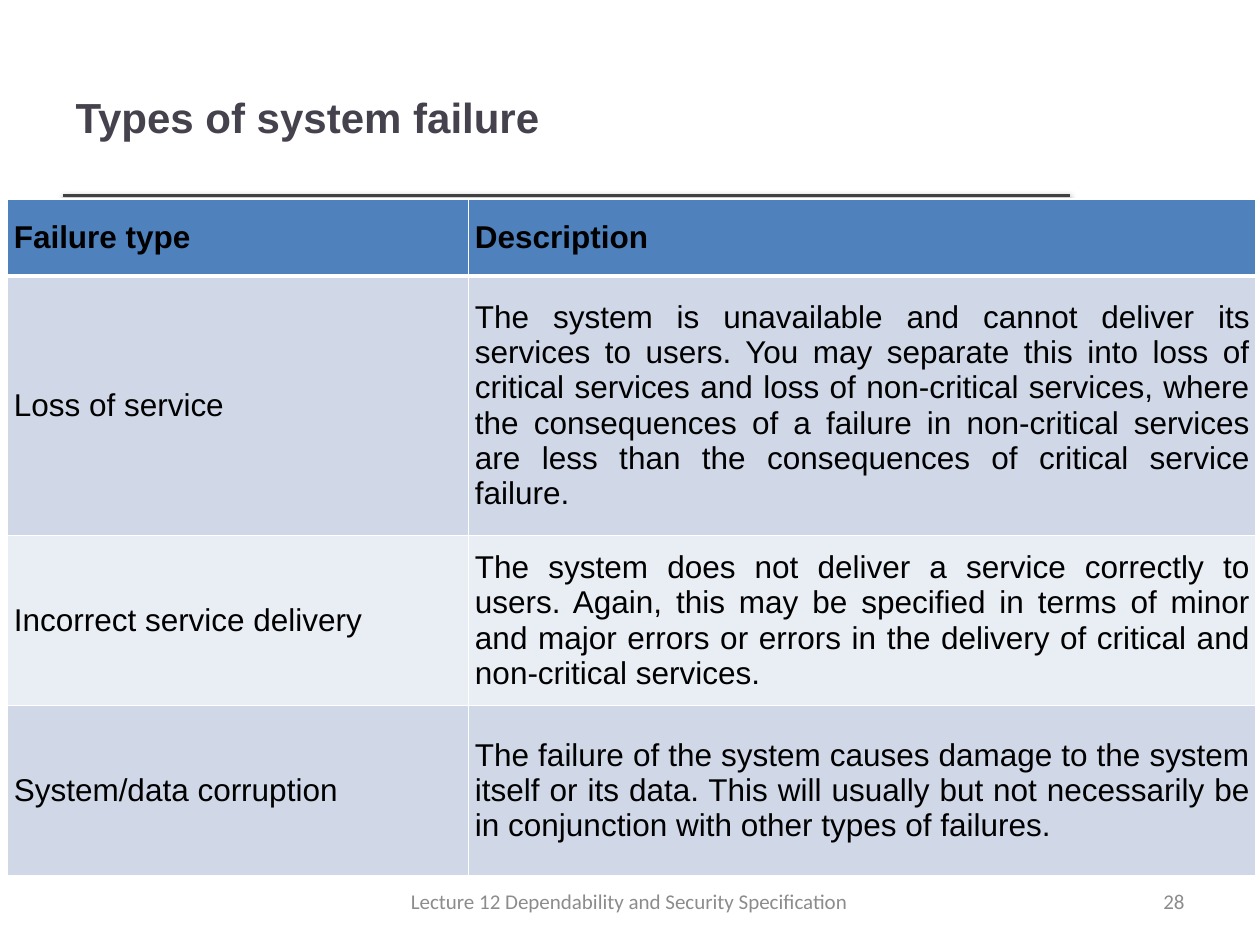
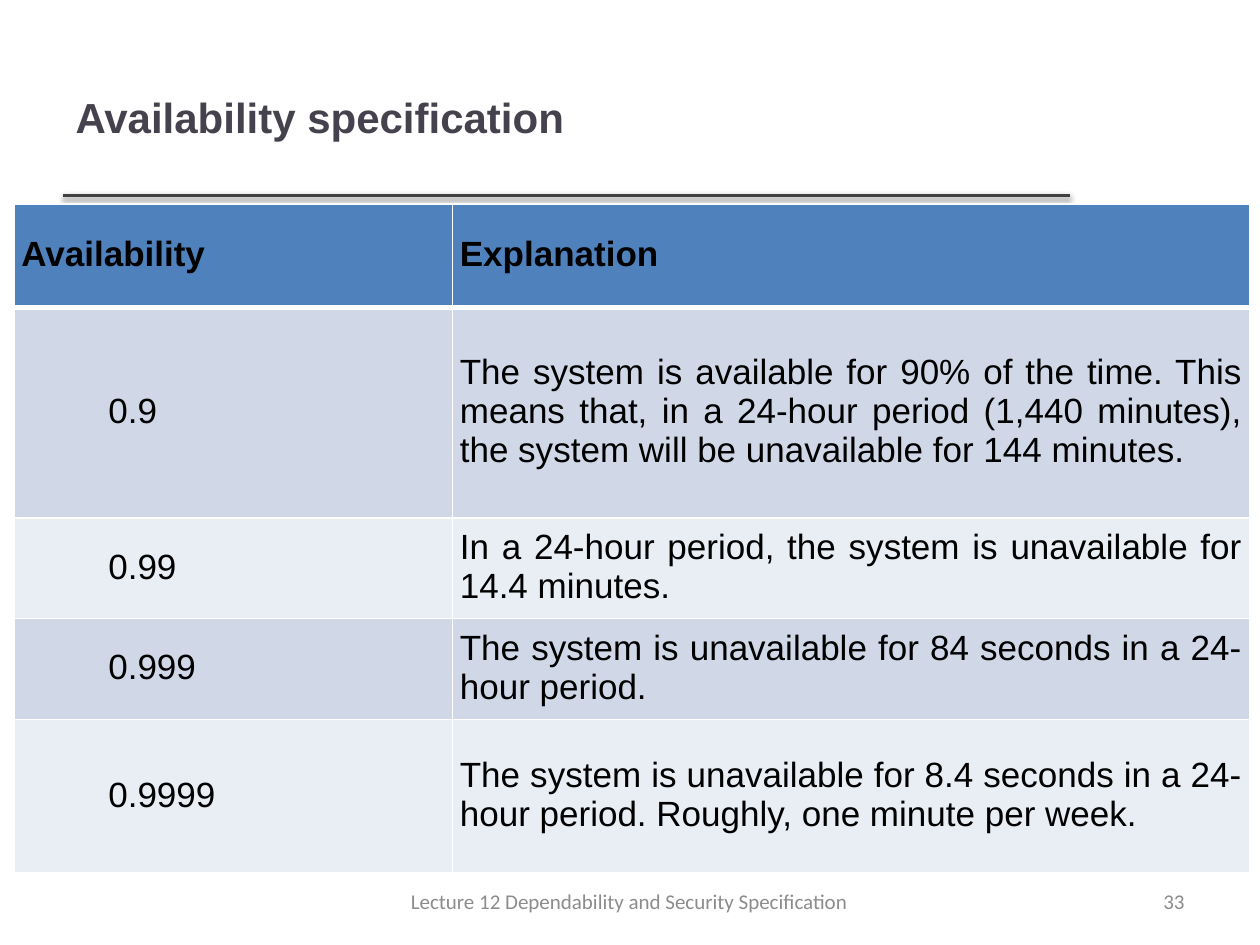
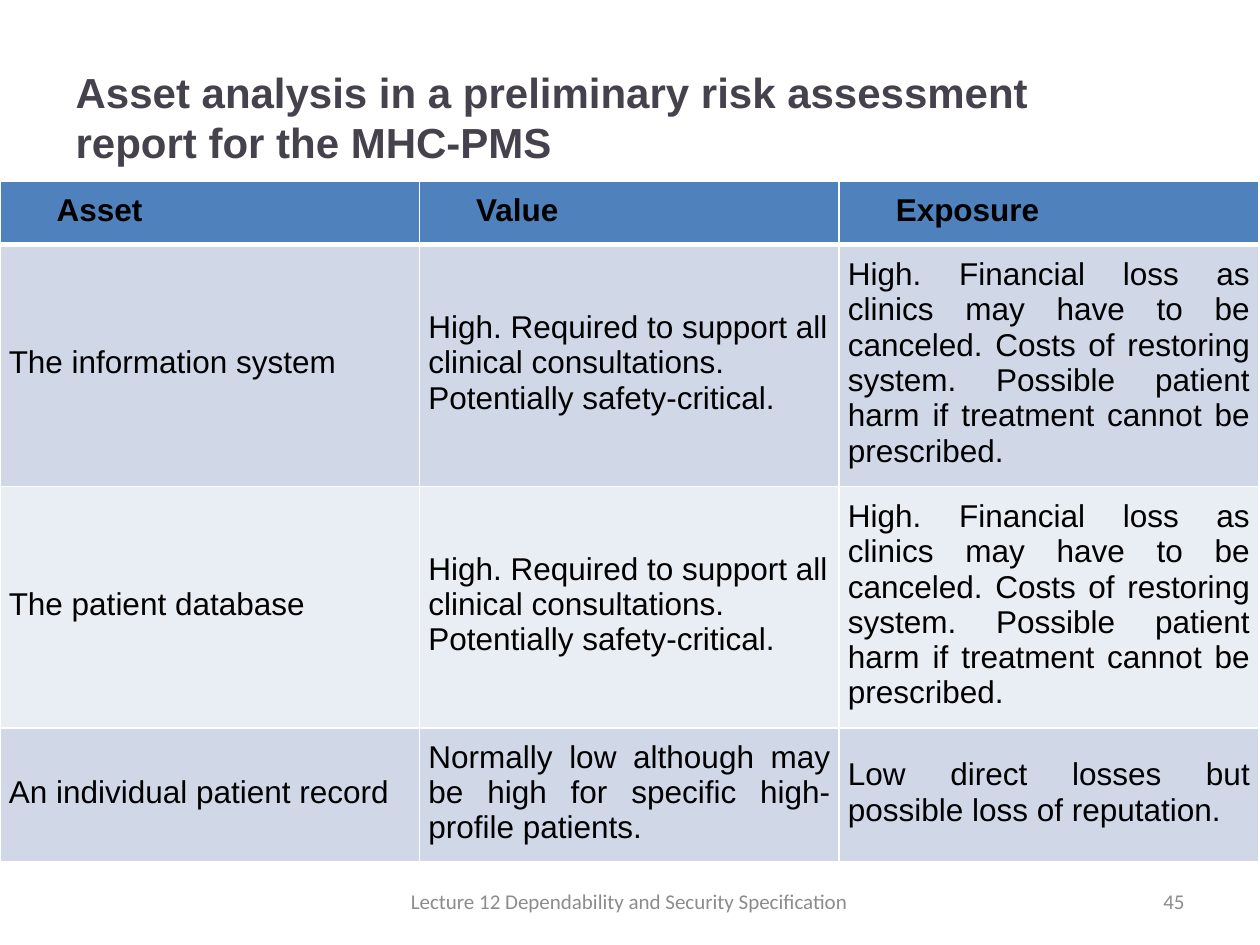
from dataclasses import dataclass, field

from lxml import etree
from pptx import Presentation
from pptx.dml.color import RGBColor
from pptx.enum.shapes import MSO_CONNECTOR
from pptx.enum.text import MSO_ANCHOR, MSO_AUTO_SIZE, PP_ALIGN
from pptx.oxml.ns import qn
from pptx.util import Inches, Pt

STRAIGHT = MSO_CONNECTOR.STRAIGHT
MIDDLE = MSO_ANCHOR.MIDDLE
NO_AUTOFIT = MSO_AUTO_SIZE.NONE
LEFT = PP_ALIGN.LEFT
CENTER = PP_ALIGN.CENTER
RIGHT = PP_ALIGN.RIGHT
JUSTIFY = PP_ALIGN.JUSTIFY

WHITE = RGBColor(0xFF, 0xFF, 0xFF)
BLACK = RGBColor(0x00, 0x00, 0x00)
TITLE_GRAY = RGBColor(0x46, 0x42, 0x4D)
RULE_GRAY = RGBColor(0x40, 0x40, 0x40)
FOOTER_GRAY = RGBColor(0x8C, 0x8C, 0x8C)
HEADER_BLUE = RGBColor(0x4F, 0x81, 0xBD)
BANDS = (RGBColor(0xD0, 0xD8, 0xE8), RGBColor(0xE9, 0xED, 0xF4))

HEADING_FONT = "Arial"
FOOTER_FONT = "Calibri"
FOOTER_TEXT = "Lecture 12 Dependability and Security Specification"
TITLE_ONLY_LAYOUT = 5


@dataclass
class TableDesign:
    left: float
    top: float
    columns: tuple
    rows: tuple
    size: int
    margins: tuple
    left_aligned: set = field(default_factory=set)
    indents: dict = field(default_factory=dict)


FAILURES = [
    ("Failure type", "Description"),
    ("Loss of service",
     "The system is unavailable and cannot deliver its services to users. You may separate "
     "this into loss of critical services and loss of non-critical services, where the "
     "consequences of a failure in non-critical services are less than the consequences of "
     "critical service failure."),
    ("Incorrect service delivery",
     "The system does not deliver a service correctly to users. Again, this may be specified "
     "in terms of minor and major errors or errors in the delivery of critical and "
     "non-critical services."),
    ("System/data corruption",
     "The failure of the system causes damage to the system itself or its data. This will "
     "usually but not necessarily be in conjunction with other types of failures."),
]
FAILURE_DESIGN = TableDesign(
    0.06, 1.58, (3.66, 6.25), (0.61, 2.06, 1.35, 1.35), 18, (0.05, 0.05, 0.05))

AVAILABILITIES = [
    ("Availability", "Explanation"),
    ("0.9",
     "The system is available for 90% of the time. This means that, in a 24-hour period "
     "(1,440 minutes), the system will be unavailable for 144 minutes."),
    ("0.99", "In a 24-hour period, the system is unavailable for 14.4 minutes."),
    ("0.999", "The system is unavailable for 84 seconds in a 24-hour period."),
    ("0.9999",
     "The system is unavailable for 8.4 seconds in a 24-hour period. Roughly, one minute "
     "per week."),
]
AVAILABILITY_DESIGN = TableDesign(
    0.11, 1.62, (3.48, 6.33), (0.82, 1.67, 0.8, 0.8, 1.22), 20, (0.06, 0.08, 0.1),
    left_aligned={(row, 0) for row in range(5)},
    indents={(row, 0): 0.69 for row in range(1, 5)})

SUPPORT_VALUE = ("High. Required to support all clinical consultations. "
                 "Potentially safety-critical.")
CLINIC_EXPOSURE = ("High. Financial loss as clinics may have to be canceled. Costs of restoring "
                   "system. Possible patient harm if treatment cannot be prescribed.")
ASSETS = [
    ("Asset", "Value", "Exposure"),
    ("The information system", SUPPORT_VALUE, CLINIC_EXPOSURE),
    ("The patient database", SUPPORT_VALUE, CLINIC_EXPOSURE),
    ("An individual patient record",
     "Normally low although may be high for specific high-profile patients.",
     "Low direct losses but possible loss of reputation."),
]
ASSET_DESIGN = TableDesign(
    0, 1.44, (3.33, 3.33, 3.33), (0.5, 1.92, 1.92, 1.06), 18, (0.07, 0.08, 0.12),
    left_aligned={(1, 1), (2, 1)},
    indents={(0, column): 0.38 for column in range(3)})

PAGES = [
    ("Types of system failure", 28, FAILURES, FAILURE_DESIGN),
    ("Availability specification", 33, AVAILABILITIES, AVAILABILITY_DESIGN),
    ("Asset analysis in a preliminary risk assessment report for the MHC-PMS", 45,
     ASSETS, ASSET_DESIGN),
]


def style_paragraph(para, font, size, color, bold, align):
    para.alignment = align
    para.font.name = font
    para.font.size = Pt(size)
    para.font.color.rgb = color
    para.font.bold = bold


def add_title(page, text):
    title = page.shapes.title
    title.left, title.top = Inches(0.5), Inches(0.3)
    title.width, title.height = Inches(7.98), Inches(1.25)
    frame = title.text_frame
    frame.text = text
    frame.auto_size = NO_AUTOFIT
    frame.vertical_anchor = MIDDLE
    style_paragraph(frame.paragraphs[0], HEADING_FONT, 24, TITLE_GRAY, True, LEFT)


def add_rule(page):
    rule = page.shapes.add_connector(
        STRAIGHT, Inches(0.5), Inches(1.55), Inches(8.49), Inches(1.55))
    rule.line.color.rgb = RULE_GRAY
    rule.line.width = Pt(2)
    effects = etree.SubElement(rule._element.spPr, qn("a:effectLst"))
    shadow = etree.SubElement(effects, qn("a:outerShdw"), blurRad=str(Pt(3.1)),
                              dist=str(Pt(1.6)), dir="5400000", rotWithShape="0")
    color = etree.SubElement(shadow, qn("a:srgbClr"), val=str(BLACK))
    etree.SubElement(color, qn("a:alpha"), val="38000")


def add_footer_text(page, left, width, text, align):
    box = page.shapes.add_textbox(Inches(left), Inches(6.95), Inches(width), Inches(0.4))
    frame = box.text_frame
    frame.word_wrap = True
    frame.vertical_anchor = MIDDLE
    frame.text = text
    style_paragraph(frame.paragraphs[0], FOOTER_FONT, 12, FOOTER_GRAY, False, align)


def set_borders(cell, top, bottom):
    properties = cell._tc.get_or_add_tcPr()
    for side, width in (("L", 1), ("R", 1), ("T", top), ("B", bottom)):
        line = etree.SubElement(properties, qn(f"a:ln{side}"), w=str(Pt(width)))
        fill = etree.SubElement(line, qn("a:solidFill"))
        etree.SubElement(fill, qn("a:srgbClr"), val=str(WHITE))


def format_cell(cell, row, column, design):
    set_borders(cell, 3 if row == 1 else 1, 3 if row == 0 else 1)
    cell.fill.solid()
    cell.fill.fore_color.rgb = HEADER_BLUE if row == 0 else BANDS[(row - 1) % 2]
    side, top, bottom = (Inches(margin) for margin in design.margins)
    cell.margin_left = cell.margin_right = side
    cell.margin_top, cell.margin_bottom = top, bottom
    cell.vertical_anchor = MIDDLE
    para = cell.text_frame.paragraphs[0]
    align = LEFT if (row, column) in design.left_aligned else JUSTIFY
    style_paragraph(para, HEADING_FONT, design.size, BLACK, row == 0, align)
    if (row, column) in design.indents:
        indent = Inches(design.indents[row, column])
        para._p.get_or_add_pPr().set("indent", str(indent))


def add_grid(page, records, design):
    table = page.shapes.add_table(
        len(design.rows), len(design.columns), Inches(design.left), Inches(design.top),
        Inches(sum(design.columns)), Inches(sum(design.rows))).table
    for column, width in zip(table.columns, design.columns):
        column.width = Inches(width)
    for row, height in zip(table.rows, design.rows):
        row.height = Inches(height)
    for row, record in enumerate(records):
        for column, text in enumerate(record):
            cell = table.cell(row, column)
            cell.text = text
            format_cell(cell, row, column, design)


def main():
    deck = Presentation()
    deck.slide_width, deck.slide_height = Inches(10), Inches(7.5)
    for title, number, records, design in PAGES:
        page = deck.slides.add_slide(deck.slide_layouts[TITLE_ONLY_LAYOUT])
        add_title(page, title)
        add_rule(page)
        add_grid(page, records, design)
        add_footer_text(page, 7.17, 2.33, str(number), RIGHT)
        add_footer_text(page, 2.83, 4.33, FOOTER_TEXT, CENTER)
    deck.save("out.pptx")


if __name__ == "__main__":
    main()
